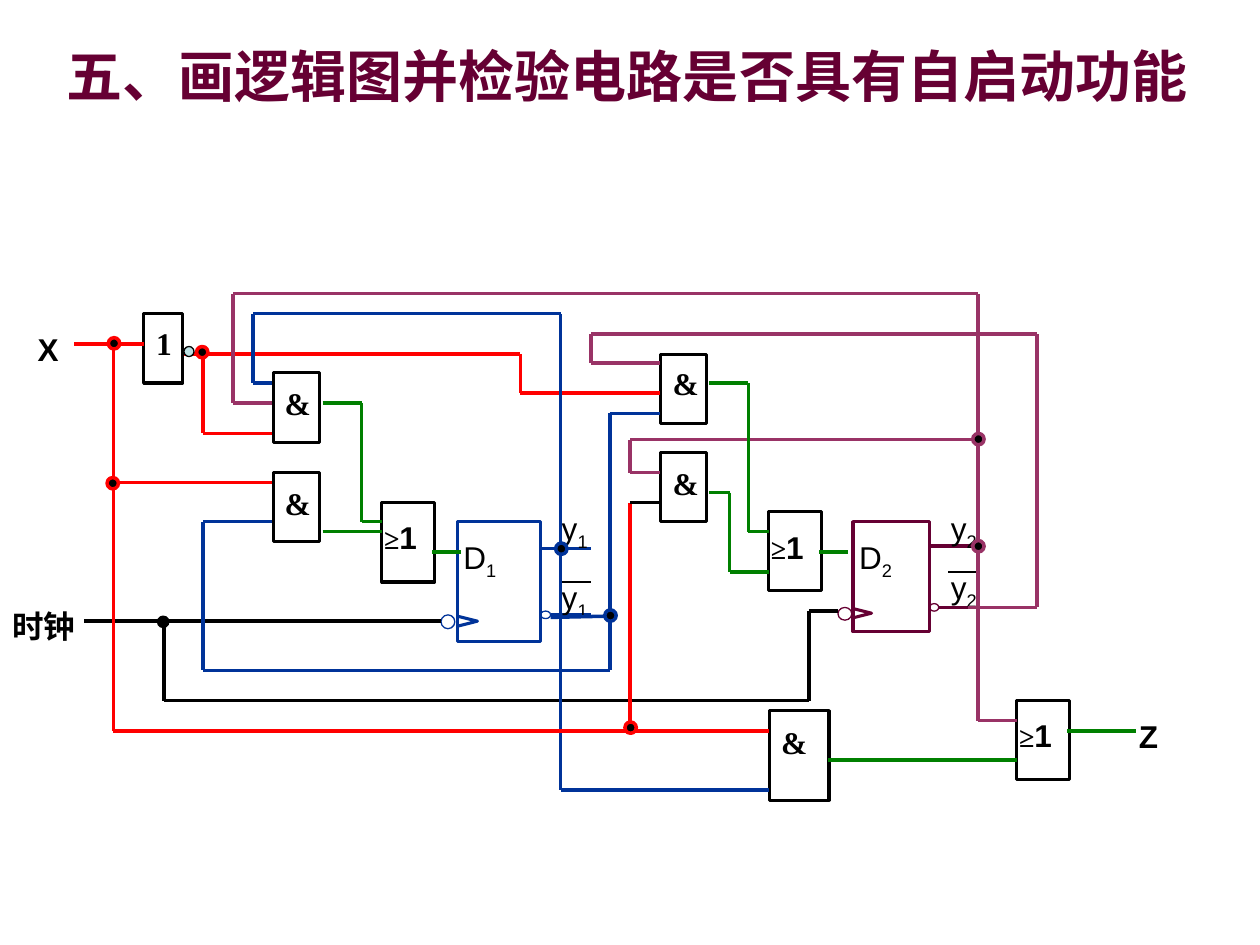
"""Builds the slide with the logic diagram of the self-starting sequential circuit."""
from lxml import etree
from pptx import Presentation
from pptx.dml.color import RGBColor
from pptx.enum.shapes import MSO_CONNECTOR, MSO_SHAPE
from pptx.enum.text import MSO_ANCHOR, PP_ALIGN
from pptx.oxml.ns import qn
from pptx.util import Inches, Pt

STRAIGHT = MSO_CONNECTOR.STRAIGHT
RECTANGLE = MSO_SHAPE.RECTANGLE
OVAL = MSO_SHAPE.OVAL
MIDDLE = MSO_ANCHOR.MIDDLE
LEFT = PP_ALIGN.LEFT

BLACK = RGBColor(0x00, 0x00, 0x00)
RED = RGBColor(0xFF, 0x00, 0x00)
BLUE = RGBColor(0x00, 0x33, 0x99)
GREEN = RGBColor(0x00, 0x80, 0x00)
PURPLE = RGBColor(0x99, 0x33, 0x66)
MAROON = RGBColor(0x66, 0x00, 0x33)
PALE_BLUE = RGBColor(0xBB, 0xE0, 0xE3)

SANS = "Arial"
SERIF = "Times New Roman"
CHINESE = "Noto Sans CJK SC"

AND = [("&", SERIF, 18, True)]
OR = [("≥", SERIF, 16, True), ("1", SANS, 18, True)]
BUFFER = [("1", SERIF, 18, True)]

# left, top, width, height, text, text left, text top, text width
GATES = [
    (1.14, 2.49, 0.31, 0.55, BUFFER, 1.14, 2.52, 0.47),
    (2.17, 2.96, 0.37, 0.55, AND, 2.16, 3.0, 0.55),
    (2.17, 3.75, 0.37, 0.55, AND, 2.16, 3.79, 0.55),
    (5.24, 2.81, 0.37, 0.55, AND, 5.24, 2.84, 0.55),
    (5.24, 3.59, 0.37, 0.55, AND, 5.24, 3.63, 0.55),
    (6.11, 5.64, 0.47, 0.71, AND, 6.1, 5.69, 0.71),
    (3.03, 3.99, 0.42, 0.63, OR, 2.95, 4.06, 0.63),
    (6.1, 4.06, 0.42, 0.63, OR, 6.02, 4.14, 0.63),
    (8.07, 5.56, 0.42, 0.63, OR, 7.99, 5.63, 0.63),
]

WIRES = [
    (BLACK, [(0.67, 4.93), (3.5, 4.93)]),
    (BLACK, [(1.3, 4.93), (1.3, 5.56), (6.42, 5.56), (6.42, 4.85), (6.65, 4.85)]),
    (RED, [(0.59, 2.73), (1.14, 2.73)]),
    (RED, [(1.46, 2.81), (4.13, 2.81), (4.13, 3.12), (5.24, 3.12)]),
    (RED, [(1.61, 2.81), (1.61, 3.44), (2.16, 3.44)]),
    (BLUE, [(6.1, 6.27), (4.45, 6.27), (4.45, 2.49), (2.01, 2.49), (2.01, 3.04), (2.16, 3.04)]),
    (PURPLE, [(8.07, 5.72), (7.76, 5.72), (7.76, 2.33), (1.85, 2.33), (1.85, 3.2), (2.16, 3.2)]),
    (RED, [(0.9, 2.73), (0.9, 5.8), (6.1, 5.8)]),
    (RED, [(0.9, 3.83), (2.16, 3.83)]),
    (BLUE, [(2.16, 4.14), (1.61, 4.14), (1.61, 5.32), (4.84, 5.32), (4.84, 3.28), (5.24, 3.28)]),
    (GREEN, [(2.56, 3.2), (2.87, 3.2), (2.87, 4.14), (3.03, 4.14)]),
    (GREEN, [(2.56, 4.22), (3.03, 4.22)]),
    (GREEN, [(3.43, 4.38), (3.66, 4.38)]),
    (PURPLE, [(7.68, 4.82), (8.23, 4.82), (8.23, 2.65), (4.69, 2.65), (4.69, 2.88), (5.24, 2.88)]),
    (BLUE, [(4.37, 4.9), (4.84, 4.89)]),
    (RED, [(5, 5.8), (5, 3.99)]),
    (BLACK, [(5, 3.99), (5.24, 3.99)]),
    (PURPLE, [(7.76, 3.49), (5, 3.49), (5, 3.75), (5.24, 3.75)]),
    (GREEN, [(5.63, 3.04), (5.94, 3.04), (5.94, 4.22), (6.1, 4.22)]),
    (GREEN, [(5.63, 3.91), (5.79, 3.91), (5.79, 4.54), (6.1, 4.54)]),
    (GREEN, [(6.5, 4.38), (6.73, 4.38)]),
    (GREEN, [(6.57, 6.03), (8.07, 6.03)]),
    (GREEN, [(8.47, 5.8), (9.02, 5.8)]),
]

JUNCTIONS = [
    (RED, 0.86, 2.68), (RED, 1.56, 2.75), (RED, 0.85, 3.79), (RED, 4.96, 5.73),
    (BLUE, 4.8, 4.84), (BLUE, 4.41, 4.31),
    (PURPLE, 7.72, 3.44), (PURPLE, 7.72, 4.29),
]


def set_east_asian_font(run):
    """Use the Chinese typeface for the East Asian characters of a run."""
    properties = run._r.get_or_add_rPr()
    etree.SubElement(properties, qn("a:ea")).set("typeface", CHINESE)


def add_title(slide, text):
    """Fill and place the title placeholder."""
    title = slide.shapes.title
    title.left, title.top = Inches(0.43), Inches(0.28)
    title.width, title.height = Inches(9.29), Inches(0.63)
    frame = title.text_frame
    frame.text = text
    frame.vertical_anchor = MIDDLE
    frame.word_wrap = True
    paragraph = frame.paragraphs[0]
    paragraph.alignment = LEFT
    run = paragraph.runs[0]
    run.font.name = CHINESE
    run.font.size = Pt(32)
    run.font.bold = True
    run.font.color.rgb = MAROON
    set_east_asian_font(run)


def add_label(slide, left, top, width, parts):
    """Add a one-line label from (text, font, size, bold) parts and return its runs."""
    box = slide.shapes.add_textbox(Inches(left), Inches(top), Inches(width), Inches(0.4))
    box.text_frame.word_wrap = True
    paragraph = box.text_frame.paragraphs[0]
    for text, font, size, bold in parts:
        run = paragraph.add_run()
        run.text = text
        run.font.name = font
        run.font.size = Pt(size)
        run.font.bold = bold
        run.font.color.rgb = BLACK
    return paragraph.runs


def add_indexed_label(slide, left, top, letter, index):
    """Add a letter with a subscript index."""
    runs = add_label(slide, left, top, 0.55, [(letter, SANS, 18, False), (index, SANS, 18, False)])
    runs[1]._r.get_or_add_rPr().set("baseline", "-25000")


def add_outline(slide, kind, left, top, width, height, color, weight, fill=None):
    """Add a preset shape with an outline and an optional fill."""
    shape = slide.shapes.add_shape(kind, Inches(left), Inches(top), Inches(width), Inches(height))
    style_outline(shape, color, weight, fill)


def style_outline(shape, color, weight, fill=None):
    """Set the line and fill of a shape and drop its shadow."""
    shape.shadow.inherit = False
    shape.line.color.rgb = color
    shape.line.width = Pt(weight)
    if fill is None:
        shape.fill.background()
    else:
        shape.fill.solid()
        shape.fill.fore_color.rgb = fill


def add_wire(slide, color, points, weight=2):
    """Join successive points with straight lines."""
    for start, end in zip(points, points[1:]):
        line = slide.shapes.add_connector(STRAIGHT, *map(Inches, start + end))
        line.line.color.rgb = color
        line.line.width = Pt(weight)
        etree.SubElement(line._element.spPr, qn("a:effectLst"))


def add_flip_flop(slide, left, scale, color, index, inverse_top):
    """Add a D flip-flop with its clock input, outputs and labels."""
    top = 4.14
    right = left + 0.66 * scale
    lead_end = right + 0.4 * scale
    output, inverse = top + 0.21 * scale, top + 0.74 * scale
    add_outline(slide, RECTANGLE, left, top, 0.66 * scale, 0.95 * scale, color, 1.75)
    notch = top + 0.75 * scale
    builder = slide.shapes.build_freeform(Inches(left), Inches(notch))
    builder.add_line_segments([
        (Inches(left + 0.16 * scale), Inches(notch + 0.04 * scale)),
        (Inches(left), Inches(notch + 0.08 * scale)),
    ], close=False)
    style_outline(builder.convert_to_shape(), color, 1.75)
    add_wire(slide, color, [(right, output), (lead_end, output)], 1.75)
    add_wire(slide, color, [(right + 0.08 * scale, inverse), (lead_end, inverse)], 1.75)
    add_outline(slide, OVAL, right, inverse - 0.03, 0.08 * scale, 0.06, color, 0)
    add_outline(slide, OVAL, left - 0.13 * scale, inverse, 0.11, 0.11 * scale, color, 0)
    label_left = right + 0.07
    add_indexed_label(slide, left - 0.05, 4.22, "D", index)
    add_indexed_label(slide, label_left, 3.99, "y", index)
    add_indexed_label(slide, label_left, inverse_top, "y", index)
    bar = inverse_top + 0.08
    add_wire(slide, BLACK, [(label_left + 0.08, bar), (lead_end, bar)], 0.75)


def main():
    """Build and save the presentation."""
    presentation = Presentation()
    presentation.slide_width, presentation.slide_height = Inches(10), Inches(7.5)
    slide = presentation.slides.add_slide(presentation.slide_layouts[5])
    add_title(slide, "五、画逻辑图并检验电路是否具有自启动功能")
    add_flip_flop(slide, 3.63, 1, BLUE, "1", 4.54)
    add_flip_flop(slide, 6.77, 0.92, MAROON, "2", 4.46)
    for left, top, width, height, parts, text_left, text_top, text_width in GATES:
        add_outline(slide, RECTANGLE, left, top, width, height, BLACK, 1.75)
        add_label(slide, text_left, text_top, text_width, parts)
    add_label(slide, 0.2, 2.57, 0.55, [("X", SANS, 18, True)])
    add_label(slide, 8.94, 5.64, 0.55, [("Z", SANS, 18, True)])
    clock_runs = add_label(slide, 0, 4.77, 0.98, [("时钟", SANS, 18, True)])
    set_east_asian_font(clock_runs[0])
    for color, points in WIRES:
        add_wire(slide, color, points)
    for color, left, top in JUNCTIONS:
        add_outline(slide, OVAL, left, top, 0.09, 0.09, color, 2, BLACK)
    add_outline(slide, OVAL, 1.25, 4.89, 0.09, 0.09, BLACK, 0, BLACK)
    add_outline(slide, OVAL, 1.46, 2.75, 0.08, 0.08, BLACK, 0.75, PALE_BLUE)
    presentation.save("out.pptx")


if __name__ == "__main__":
    main()
